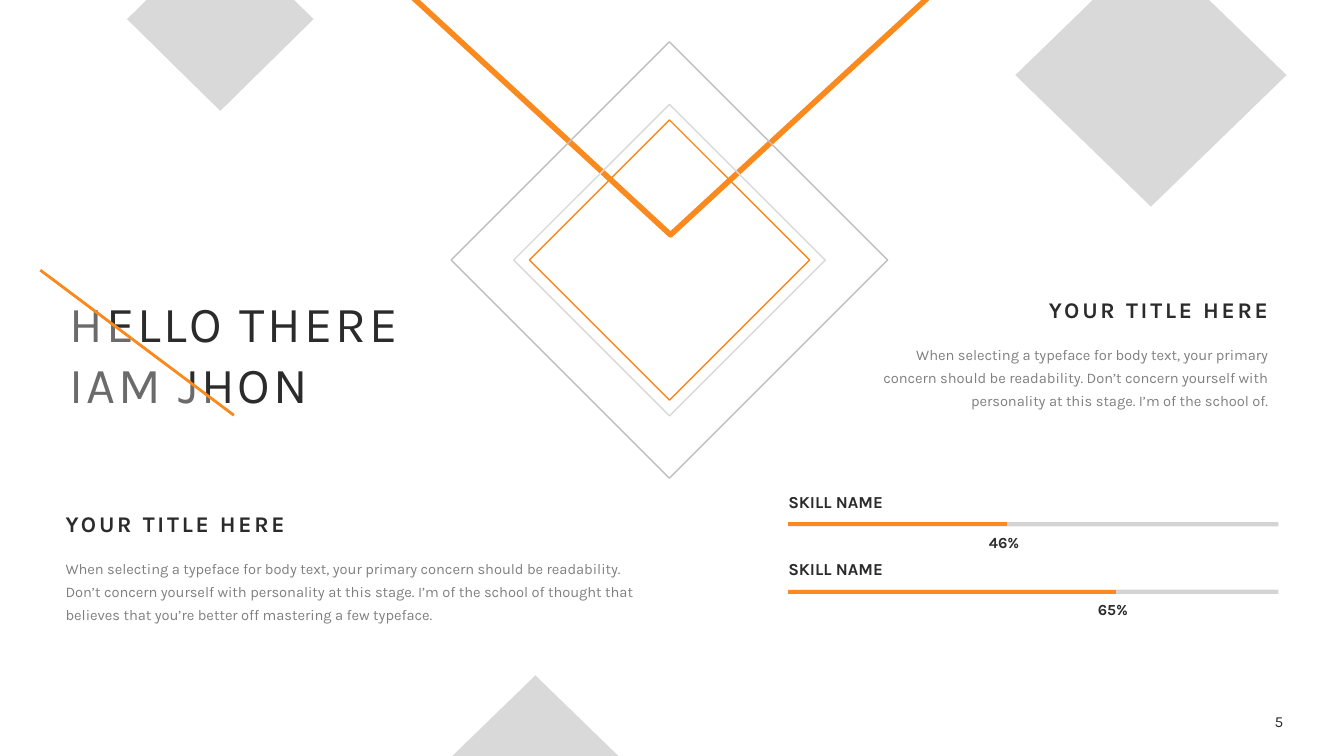
from lxml import etree
from pptx import Presentation
from pptx.dml.color import RGBColor
from pptx.enum import shapes, text
from pptx.oxml.ns import qn
from pptx.util import Inches, Pt

FONT = "Karla"
ORANGE = RGBColor(0xFA, 0x89, 0x1E)
INK = RGBColor(0x2B, 0x2B, 0x2B)
WHITE = RGBColor(0xFF, 0xFF, 0xFF)
LIGHT_GRAY = RGBColor(0xD9, 0xD9, 0xD9)
MID_GRAY = RGBColor(0xBF, 0xBF, 0xBF)

LEFT = text.PP_ALIGN.LEFT
CENTER = text.PP_ALIGN.CENTER
RIGHT = text.PP_ALIGN.RIGHT
TOP = text.MSO_ANCHOR.TOP
MIDDLE = text.MSO_ANCHOR.MIDDLE

INTRO = (
    "When selecting a typeface for body text, your primary concern should be "
    "readability. Don’t concern yourself with personality at this stage. I’m of the "
    "school of thought that believes that you’re better off mastering a few typeface."
)
SUMMARY = (
    "When selecting a typeface for body text, your primary concern should be "
    "readability. Don’t concern yourself with personality at this stage. "
    "I’m of the school of."
)


def set_opacity(element, percent):
    for color in element.iter(qn("a:srgbClr")):
        etree.SubElement(color, qn("a:alpha"), val=str(percent * 1000))


def place(shape, left, top, width, height):
    shape.left, shape.top = Inches(left), Inches(top)
    shape.width, shape.height = Inches(width), Inches(height)


def write_text(shape, *lines, size, bold=False, align=LEFT, anchor=TOP,
               line_spacing=1.0, tracking=0, opacity=100):
    frame = shape.text_frame
    frame.word_wrap = True
    frame.auto_size = text.MSO_AUTO_SIZE.NONE
    frame.vertical_anchor = anchor
    frame.text = "\n".join(lines)
    for paragraph in frame.paragraphs:
        paragraph.alignment = align
        paragraph.line_spacing = line_spacing
        paragraph.space_before = paragraph.space_after = Pt(0)
        properties = paragraph._p.get_or_add_pPr()
        properties.set("marL", "0")
        properties.set("indent", "0")
        etree.SubElement(properties, qn("a:buNone"))
        run = paragraph.runs[0]
        run.font.name = FONT
        run.font.size = Pt(size)
        run.font.bold = bold
        run.font.color.rgb = INK
        run._r.get_or_add_rPr().set("spc", str(tracking * 100))
        if opacity < 100:
            set_opacity(run._r, opacity)


def add_label(slide, box, label, **style):
    shape = slide.shapes.add_textbox(*map(Inches, box))
    write_text(shape, label, **style)


def add_figure(slide, kind, box, fill=None, outline=None, weight=1, opacity=100):
    shape = slide.shapes.add_shape(kind, *map(Inches, box))
    shape.shadow.inherit = False
    if fill is None:
        shape.fill.background()
    else:
        shape.fill.solid()
        shape.fill.fore_color.rgb = fill
    if outline is None:
        shape.line.fill.background()
    else:
        shape.line.color.rgb = outline
        shape.line.width = Pt(weight)
    if opacity < 100:
        set_opacity(shape._element.spPr, opacity)


def add_line(slide, start, end, color, weight, opacity=100):
    line = slide.shapes.add_connector(
        shapes.MSO_CONNECTOR.STRAIGHT, *map(Inches, (*start, *end)))
    line.line.color.rgb = color
    line.line.width = Pt(weight)
    if opacity < 100:
        set_opacity(line._element.spPr, opacity)
    etree.SubElement(line._element.spPr, qn("a:effectLst"))


def add_section(heading, body, left, top, width, align, content):
    place(heading, left, top, width, 0.41)
    write_text(heading, "YOUR TITLE HERE", size=16, bold=True, align=align,
               line_spacing=0.9, tracking=2)
    place(body, left, top + 0.41, width, 0.79)
    write_text(body, content, size=10.5, align=align, line_spacing=1.3, opacity=60)


def add_skill(slide, top, bar_end, value):
    left, right = 7.82, 12.68
    add_line(slide, (left, top), (right, top), INK, 3, opacity=20)
    add_line(slide, (left, top), (bar_end, top), ORANGE, 3)
    add_label(slide, (left - 0.1, top - 0.35, 3.35, 0.3), "SKILL NAME",
              size=12, bold=True, line_spacing=0.9)
    add_label(slide, (bar_end - 0.28, top + 0.06, 0.63, 0.3), value,
              size=11, bold=True, line_spacing=0.9)


def main():
    presentation = Presentation()
    presentation.slide_width = Inches(13.33)
    presentation.slide_height = Inches(7.5)
    comparison_layout = presentation.slide_layouts[4]
    slide = presentation.slides.add_slide(comparison_layout)
    title, left_heading, left_body, right_heading, right_body = slide.placeholders
    diamond = shapes.MSO_SHAPE.DIAMOND

    place(title, 0.59, 2.85, 3.69, 1.31)
    write_text(title, "HELLO THERE", "IAM JHON", size=36, tracking=2)
    add_section(left_heading, left_body, 0.55, 5.04, 6.03, LEFT, INTRO)
    add_section(right_heading, right_body, 8.61, 2.92, 4.07, RIGHT, SUMMARY)

    add_figure(slide, diamond, (4.09, -2.39, 5.12, 4.72), outline=ORANGE, weight=4)
    center_x, center_y = 6.64, 2.58
    for side, color in ((2.78, ORANGE), (3.09, LIGHT_GRAY), (4.33, MID_GRAY)):
        box = (center_x - side / 2, center_y - side / 2, side, side)
        add_figure(slide, diamond, box, outline=color)

    add_skill(slide, 5.2, 9.99, "46%")
    add_skill(slide, 5.87, 11.07, "65%")

    add_figure(slide, shapes.MSO_SHAPE.RIGHT_TRIANGLE, (0, 2.37, 2.68, 2.03),
               fill=WHITE, opacity=30)
    add_line(slide, (0.4, 2.68), (2.32, 4.12), ORANGE, 2)

    for box in ((1.26, -0.72, 1.85, 1.82), (10.07, -0.56, 2.69, 2.61),
                (4.44, 6.7, 1.74, 1.69)):
        add_figure(slide, diamond, box, fill=LIGHT_GRAY)

    add_label(slide, (12.45, 7.05, 0.47, 0.21), "5", size=11, align=CENTER,
              anchor=MIDDLE)
    presentation.save("out.pptx")


if __name__ == "__main__":
    main()
